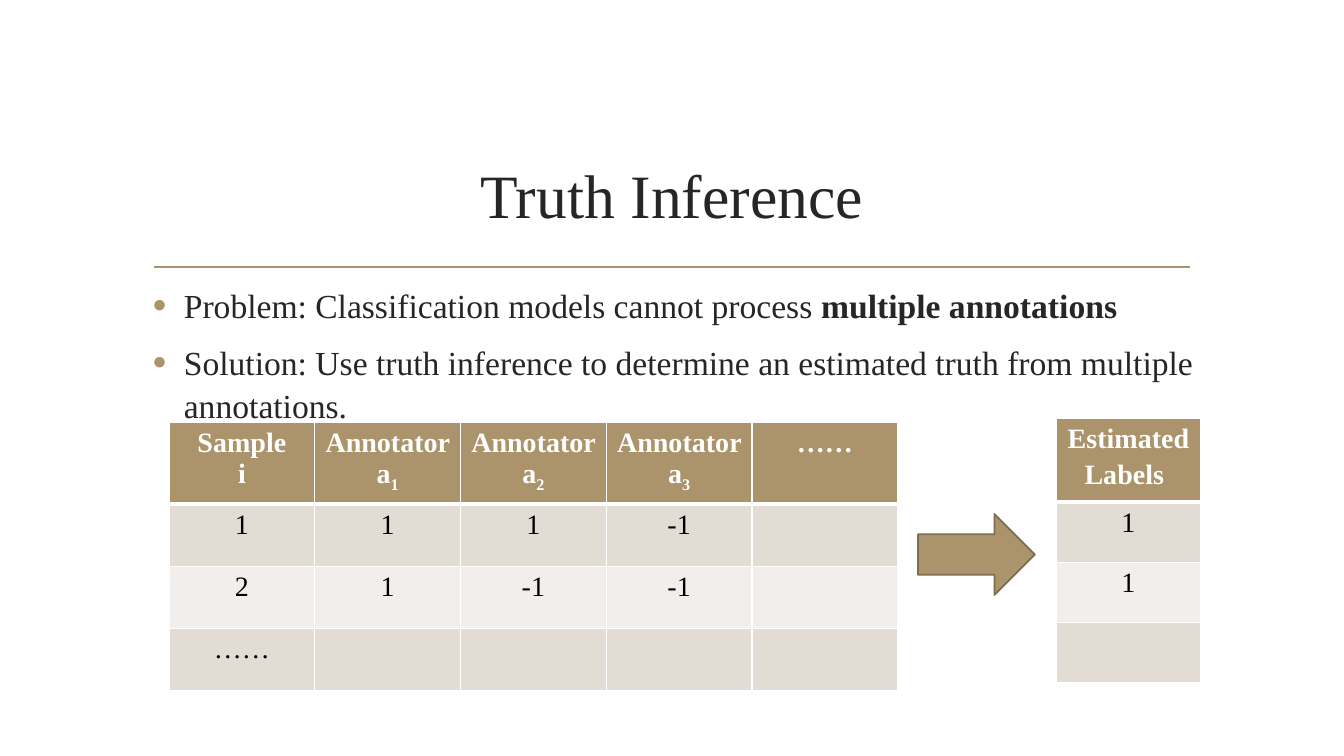
from lxml import etree
from pptx import Presentation
from pptx.dml.color import RGBColor
from pptx.enum.shapes import MSO_CONNECTOR, MSO_SHAPE
from pptx.enum.text import MSO_ANCHOR, PP_ALIGN
from pptx.oxml.ns import qn
from pptx.util import Emu, Pt

SCALE = 914400 / 100.8
FONT = "Times New Roman"
TAN = RGBColor(0xAB, 0x94, 0x6B)
BROWN = RGBColor(0x7F, 0x6D, 0x4F)
DARK = RGBColor(0x26, 0x26, 0x26)
BLACK = RGBColor(0, 0, 0)
WHITE = RGBColor(0xFF, 0xFF, 0xFF)
BANDS = [RGBColor(0xF1, 0xEE, 0xEB), RGBColor(0xE2, 0xDC, 0xD4)]
CENTER = PP_ALIGN.CENTER
MIDDLE = MSO_ANCHOR.MIDDLE
ARROW = MSO_SHAPE.RIGHT_ARROW
STRAIGHT = MSO_CONNECTOR.STRAIGHT

VOTES = [
    [[["Sample"], ["i"]]]
    + [[["Annotator a", n]] for n in "123"]
    + [[["……"]]],
    ["1", "1", "1", "-1", ""],
    ["2", "1", "-1", "-1", ""],
    ["……", "", "", "", ""],
]
LABELS = [[[["Estimated Labels", " "]]], ["1"], ["1"], [""]]
POINTS = [
    [("Problem: Classification models cannot process ", False),
     ("multiple annotations", True)],
    [("Solution: Use truth inference to determine an estimated truth "
      "from multiple annotations.", False)],
]


def px(n):
    """Turn px into EMU."""
    return Emu(round(n * SCALE))


def add_run(para, text, size, color, bold=False):
    """Add one styled run to a paragraph."""
    run = para.add_run()
    run.text = text
    font = run.font
    font.name, font.size, font.bold = FONT, Pt(size), bold
    font.color.rgb = color
    return run


def add_box(slide, box):
    """Add a wrapping text box and return its frame."""
    frame = slide.shapes.add_textbox(*map(px, box)).text_frame
    frame.word_wrap = True
    return frame


def add_title(slide, box):
    """Place the title with the rule below it."""
    left, top, width, height = box
    frame = add_box(slide, box)
    frame.vertical_anchor = MIDDLE
    para = frame.paragraphs[0]
    para.alignment = CENTER
    add_run(para, "Truth Inference", 44, DARK)
    y = px(top + height + 1)
    rule = slide.shapes.add_connector(
        STRAIGHT, px(left + 11), y, px(left + width - 11), y)
    rule.line.color.rgb = TAN
    rule.line.width = Pt(1.25)
    etree.SubElement(rule._element.spPr, qn("a:effectLst"))


def add_points(slide, box):
    """Place the bulleted points."""
    frame = add_box(slide, box)
    for i, point in enumerate(POINTS):
        para = frame.paragraphs[0] if i == 0 else frame.add_paragraph()
        props = para._p.get_or_add_pPr()
        props.set("marL", str(px(31)))
        props.set("indent", str(px(-31)))
        tint = etree.SubElement(props, qn("a:buClr"))
        etree.SubElement(tint, qn("a:srgbClr"), val=str(TAN))
        etree.SubElement(props, qn("a:buSzPct"), val="115000")
        etree.SubElement(props, qn("a:buFont"), typeface="Arial")
        etree.SubElement(props, qn("a:buChar"), char="•")
        para.line_spacing = 1.07
        para.space_before = Pt(4 if i else 0)
        para.space_after = Pt(6)
        for text, bold in point:
            add_run(para, text, 24, DARK, bold)


def add_edges(cell, row):
    """Draw white cell borders, thick below the head row."""
    props = cell._tc.get_or_add_tcPr()
    for side in "LRTB":
        thick = (row, side) in ((0, "B"), (1, "T"))
        edge = etree.SubElement(
            props, qn("a:ln" + side), w=str(Pt(3 if thick else 1)))
        fill = etree.SubElement(edge, qn("a:solidFill"))
        etree.SubElement(fill, qn("a:srgbClr"), val=str(WHITE))


def fill_head(cell, lines):
    """Write a head cell, with digits as subscripts."""
    frame = cell.text_frame
    for i, line in enumerate(lines):
        para = frame.paragraphs[0] if i == 0 else frame.add_paragraph()
        para.alignment = CENTER
        for text in line:
            size = 24 if text == " " else 20
            run = add_run(para, text, size, WHITE, True)
            if text.isdigit():
                run._r.get_or_add_rPr().set("baseline", "-25000")


def add_grid(slide, box, rows, head):
    """Place a table with a head row and even body rows."""
    left, top, width, height = box
    count = len(rows[0])
    table = slide.shapes.add_table(
        len(rows), count, *map(px, box)).table
    for col in table.columns:
        col.width = px(width / count)
    for r, row in enumerate(rows):
        part = (height - head) / (len(rows) - 1)
        table.rows[r].height = px(part if r else head)
        for c, item in enumerate(row):
            cell = table.cell(r, c)
            add_edges(cell, r)
            cell.fill.solid()
            cell.fill.fore_color.rgb = BANDS[r % 2] if r else TAN
            if r == 0:
                fill_head(cell, item)
            elif item:
                para = cell.text_frame.paragraphs[0]
                para.alignment = CENTER
                add_run(para, item, 20, BLACK)


def add_arrow(slide, box):
    """Place the arrow between the tables."""
    arrow = slide.shapes.add_shape(ARROW, *map(px, box))
    arrow.shadow.inherit = False
    arrow.fill.solid()
    arrow.fill.fore_color.rgb = TAN
    arrow.line.color.rgb = BROWN
    arrow.line.width = Pt(1.25)


def main():
    """Build and save the slide."""
    deck = Presentation()
    deck.slide_width, deck.slide_height = px(1344), px(756)
    slide = deck.slides.add_slide(deck.slide_layouts[6])
    add_title(slide, (143, 122, 1058, 144))
    add_grid(slide, (169, 422, 729, 264), VOTES, 77)
    add_arrow(slide, (918, 514, 117, 81))
    add_grid(slide, (1056, 418, 145, 264), LABELS, 83)
    add_points(slide, (143, 277, 1068, 325))
    deck.save("out.pptx")


if __name__ == "__main__":
    main()
